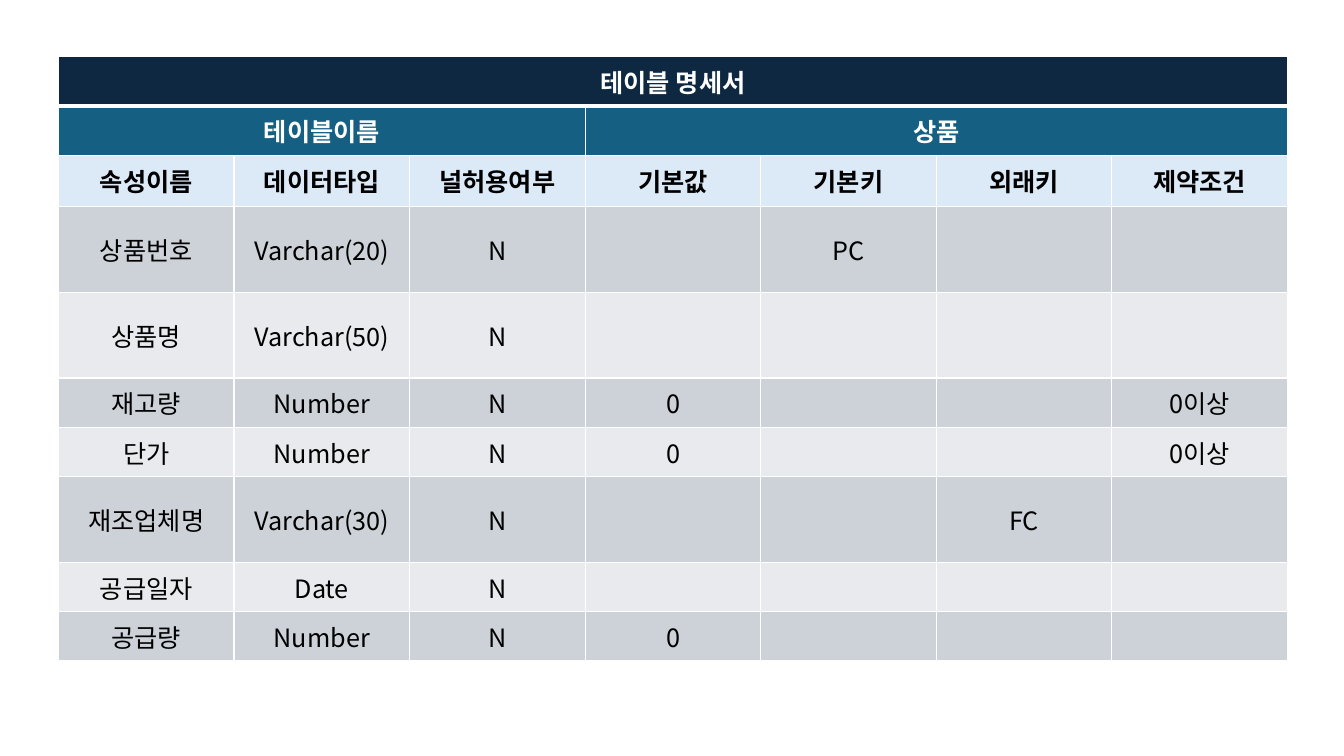
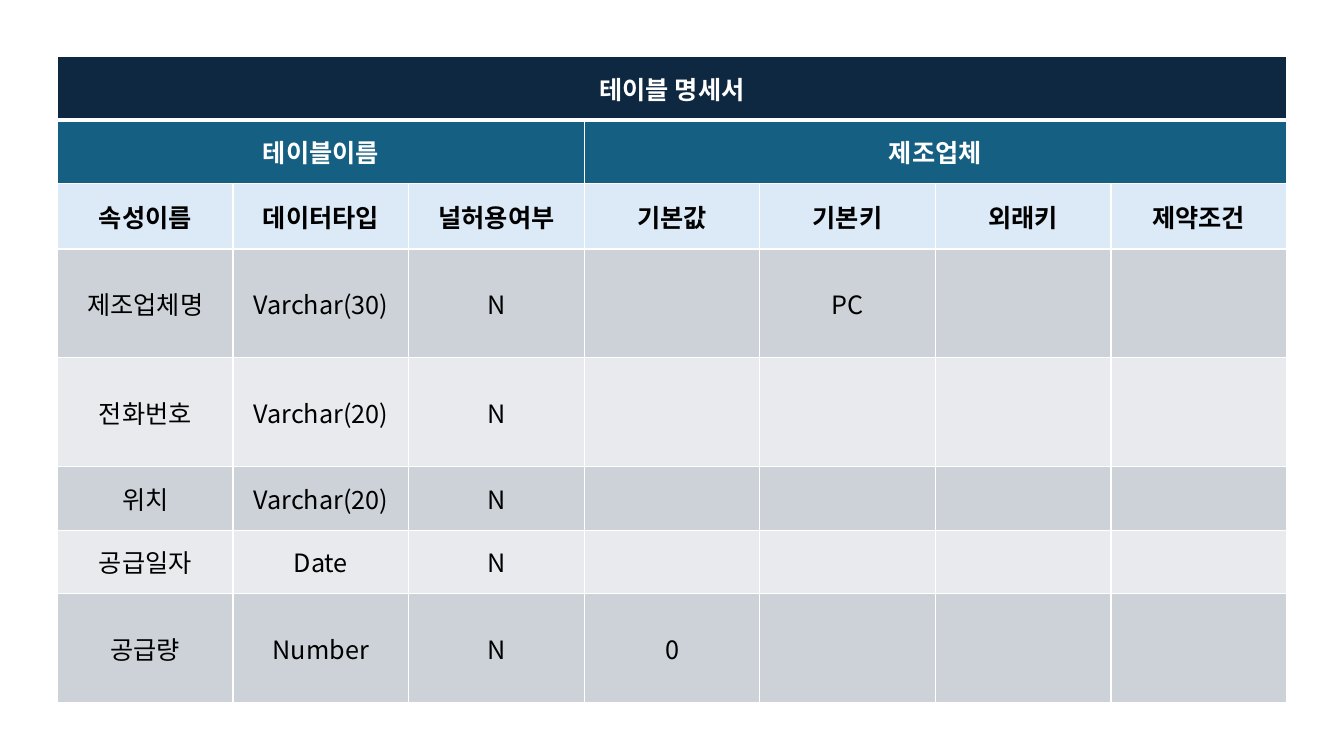
from lxml.etree import SubElement
from pptx import Presentation
from pptx.dml.color import RGBColor
from pptx.enum.text import MSO_ANCHOR, PP_ALIGN
from pptx.oxml.ns import qn
from pptx.util import Inches, Pt

NAVY = RGBColor(0x0E, 0x28, 0x41)
TEAL = RGBColor(0x15, 0x60, 0x82)
PALE_BLUE = RGBColor(0xDC, 0xEA, 0xF7)
DARK_BAND = RGBColor(0xCC, 0xD2, 0xD8)
LIGHT_BAND = RGBColor(0xE8, 0xEA, 0xED)
WHITE = RGBColor(0xFF, 0xFF, 0xFF)
BLACK = RGBColor(0x00, 0x00, 0x00)

FONT = "Noto Sans CJK KR"
TABLE_WIDTH = 12.19
TABLE_TOP = 0.56
HEADINGS = ["속성이름", "데이터타입", "널허용여부", "기본값", "기본키", "외래키", "제약조건"]
NAME_SPAN = 3
HEADER_FILLS = [NAVY, TEAL, PALE_BLUE]

# Table name, left edge, heights (short, heading, tall), tall attributes, attribute rows
SPECIFICATIONS = [
    ("상품", 0.58, (0.49, 0.51, 0.85), ["상품번호", "상품명", "재조업체명"], [
        ["상품번호", "Varchar(20)", "N", "", "PC", "", ""],
        ["상품명", "Varchar(50)", "N", "", "", "", ""],
        ["재고량", "Number", "N", "0", "", "", "0이상"],
        ["단가", "Number", "N", "0", "", "", "0이상"],
        ["재조업체명", "Varchar(30)", "N", "", "", "FC", ""],
        ["공급일자", "Date", "N", "", "", "", ""],
        ["공급량", "Number", "N", "0", "", "", ""],
    ]),
    ("제조업체", 0.57, (0.63, 0.65, 1.08), ["제조업체명", "전화번호", "공급량"], [
        ["제조업체명", "Varchar(30)", "N", "", "PC", "", ""],
        ["전화번호", "Varchar(20)", "N", "", "", "", ""],
        ["위치", "Varchar(20)", "N", "", "", "", ""],
        ["공급일자", "Date", "N", "", "", "", ""],
        ["공급량", "Number", "N", "0", "", "", ""],
    ]),
]


def add_white_borders(cell, top, bottom):
    """Draw all four borders; top and bottom are widths in points."""
    properties = cell._tc.get_or_add_tcPr()
    for side, width in (("L", 1), ("R", 1), ("T", top), ("B", bottom)):
        line = SubElement(properties, qn(f"a:ln{side}"), w=str(Pt(width)))
        fill = SubElement(line, qn("a:solidFill"))
        SubElement(fill, qn("a:srgbClr"), val=str(WHITE))


def style_cell(cell, text, fill, color, bold):
    cell.text = text
    cell.vertical_anchor = MSO_ANCHOR.MIDDLE
    cell.fill.solid()
    cell.fill.fore_color.rgb = fill
    paragraph = cell.text_frame.paragraphs[0]
    paragraph.alignment = PP_ALIGN.CENTER
    paragraph.font.name = FONT
    paragraph.font.size = Pt(18)
    paragraph.font.bold = bold
    paragraph.font.color.rgb = color
    # Korean text takes its typeface from the East Asian font entry
    defaults = paragraph._p.get_or_add_pPr().get_or_add_defRPr()
    SubElement(defaults, qn("a:ea"), typeface=FONT)


presentation = Presentation()
presentation.slide_width = Inches(13.33)
presentation.slide_height = Inches(7.5)
blank_layout = presentation.slide_layouts[6]

for table_name, left, (short, heading, tall), tall_names, attributes in SPECIFICATIONS:
    column_count = len(HEADINGS)
    title_row = ["테이블 명세서"] + [""] * (column_count - 1)
    name_row = [""] * column_count
    name_row[0] = "테이블이름"
    name_row[NAME_SPAN] = table_name
    rows = [title_row, name_row, HEADINGS] + attributes
    heights = [short, short, heading]
    heights += [tall if row[0] in tall_names else short for row in attributes]

    slide = presentation.slides.add_slide(blank_layout)
    table = slide.shapes.add_table(
        len(rows), column_count, Inches(left), Inches(TABLE_TOP),
        Inches(TABLE_WIDTH), Inches(sum(heights))).table
    table.first_row = False
    table.horz_banding = False
    for column in table.columns:
        column.width = Inches(TABLE_WIDTH / column_count)

    for row_index, (row, height) in enumerate(zip(rows, heights)):
        table.rows[row_index].height = Inches(height)
        is_header = row_index < len(HEADER_FILLS)
        if is_header:
            fill = HEADER_FILLS[row_index]
        else:
            fill = DARK_BAND if row_index % 2 else LIGHT_BAND
        color = WHITE if fill in (NAVY, TEAL) else BLACK
        for column_index, text in enumerate(row):
            cell = table.cell(row_index, column_index)
            add_white_borders(cell, top=3 if row_index == 1 else 1,
                              bottom=3 if row_index == 0 else 1)
            style_cell(cell, text, fill, color, is_header)

    table.cell(0, 0).merge(table.cell(0, column_count - 1))
    table.cell(1, 0).merge(table.cell(1, NAME_SPAN - 1))
    table.cell(1, NAME_SPAN).merge(table.cell(1, column_count - 1))

presentation.save("out.pptx")
